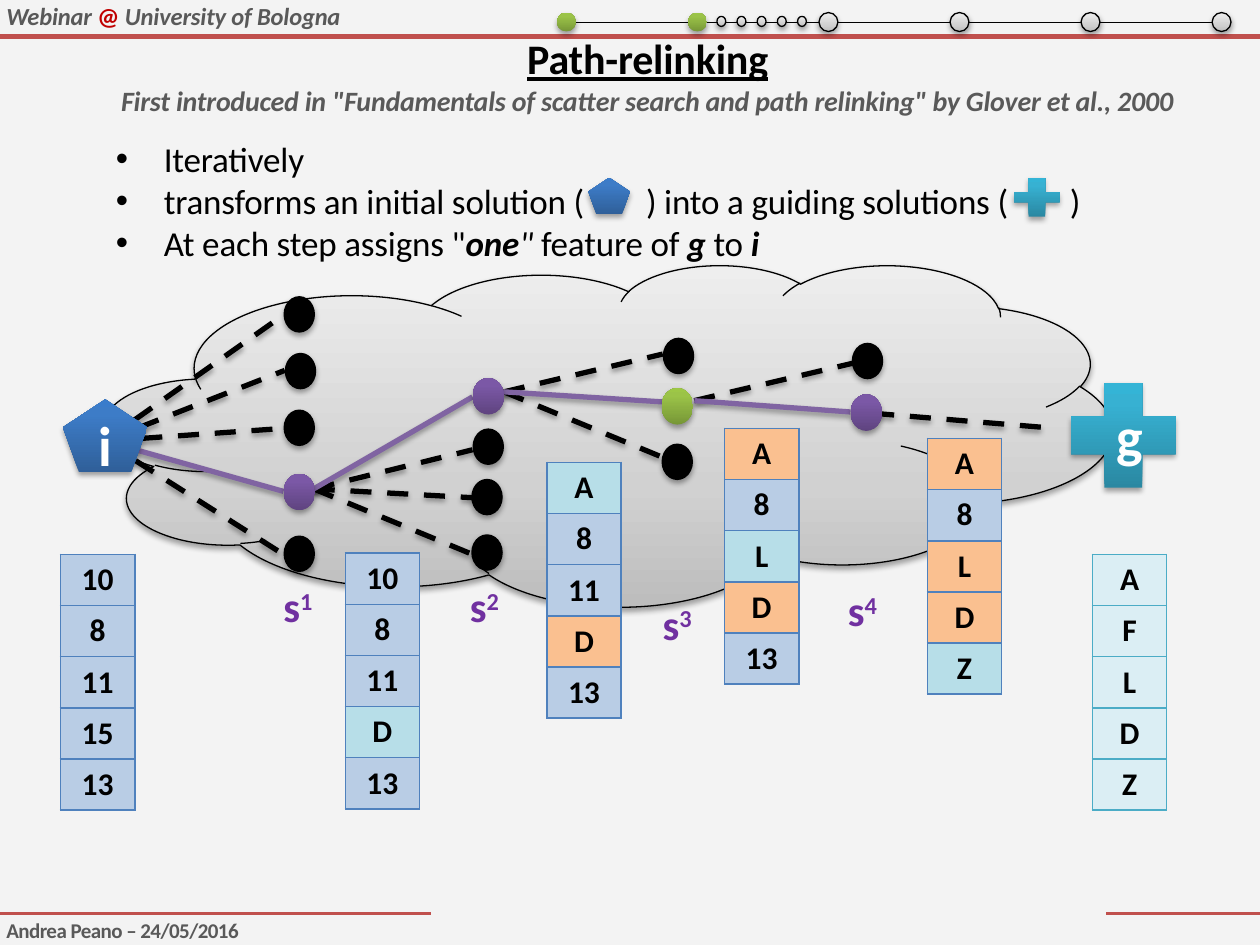
from dataclasses import dataclass
from lxml.etree import SubElement
from pptx import Presentation
from pptx.dml.color import RGBColor
from pptx.enum.dml import MSO_LINE
from pptx.enum.shapes import MSO_CONNECTOR, MSO_SHAPE
from pptx.enum.text import MSO_ANCHOR, PP_ALIGN
from pptx.oxml.ns import qn
from pptx.util import Inches, Pt


@dataclass(frozen=True)
class Theme:
    font: str = "Calibri"
    back: str = "F3F3F3"
    black: str = "000000"
    white: str = "FFFFFF"
    text: str = "595959"
    accent: str = "C00000"
    rule: str = "C0504D"
    step: str = "7030A0"
    route: str = "8064A2"
    edge: str = "4F81BD"
    goal: str = "4BACC6"
    gray: tuple = ((0, "BDBDBD"), (35, "D1D1D1"), (100, "EEEEEE"))
    blue: tuple = ((0, "2F5F99"), (80, "3D7CC7"), (100, "3A7CCB"))
    teal: tuple = ((0, "2A88A2"), (80, "37B1D2"), (100, "34B4D6"))
    violet: tuple = ((0, "5F4480"), (80, "7B58A6"), (100, "7C57A8"))
    green: tuple = ((0, "779737"), (80, "9BC348"), (100, "9DC746"))
    huge: int = 32
    large: int = 24
    body: int = 20
    cell: int = 18
    sub: int = 16
    head: int = 14
    foot: int = 12


theme = Theme()


def paint(shape, fill=None, line=None, width=0.75, dash=False, shadow=True):
    """Set fill, line and shadow of a shape or connector."""
    if isinstance(fill, str):
        shape.fill.solid()
        shape.fill.fore_color.rgb = RGBColor.from_string(fill)
    elif fill:
        shape.fill.gradient()
        shape.fill.gradient_angle = 90
        stops = shape._element.spPr.find(".//" + qn("a:gsLst"))
        stops.clear()
        for pos, color in fill:
            stop = SubElement(stops, qn("a:gs"), pos=str(pos * 1000))
            SubElement(stop, qn("a:srgbClr"), val=color)
    if line:
        shape.line.color.rgb = RGBColor.from_string(line)
        shape.line.width = Pt(width)
        if dash:
            shape.line.dash_style = MSO_LINE.DASH
    else:
        shape.line.fill.background()
    glow = SubElement(shape._element.spPr, qn("a:effectLst"))
    if shadow:
        cast = SubElement(glow, qn("a:outerShdw"), blurRad=str(Pt(3.1)),
                          dist=str(Pt(1.8)), dir="5400000", rotWithShape="0")
        tone = SubElement(cast, qn("a:srgbClr"), val=theme.black)
        SubElement(tone, qn("a:alpha"), val="35000")


def write(par, text, size, color, bold=False, italic=False, line=False, **extra):
    """Add one formatted run to a paragraph."""
    run = par.add_run()
    run.text = text
    font = run.font
    font.name, font.size = theme.font, Pt(size)
    font.bold, font.italic, font.underline = bold, italic, line
    font.color.rgb = RGBColor.from_string(color)
    for key, val in extra.items():
        run._r.get_or_add_rPr().set(key, str(val))


deck = Presentation()
deck.slide_width, deck.slide_height = Inches(10), Inches(7.5)
slide = deck.slides.add_slide(deck.slide_layouts[5])
slide.background.fill.solid()
slide.background.fill.fore_color.rgb = RGBColor.from_string(theme.back)
shapes = slide.shapes

# Header and footer rules, then the dashed and chosen search steps
rules = [(0, 7.25, 3.42, 7.25, 2.25), (8.78, 7.25, 10, 7.25, 2.25), (0, 0.29, 10, 0.29, 3)]
lines = [(*ends, theme.rule, width, False, False) for *ends, width in rules]
first, gap = 4.42, 1.04
for n in range(5):
    left = first + gap * n
    lines.append((left + 0.15, 0.18, left + gap, 0.18, theme.black, 0.75, False, False))

moves = [
    ((0.83, 3.5), [(2.25, 4.4), (2.25, 3.4), (2.26, 2.94), (2.25, 2.5)], (2.25, 3.9)),
    ((2.49, 3.88), [(3.75, 4.4), (3.75, 3.95), (3.75, 3.57)], (3.75, 3.15)),
    ((4, 3.11), [(5.26, 3.63), (5.26, 2.81)], (5.26, 3.19)),
    ((5.51, 3.18), [(6.78, 2.88)], (6.75, 3.27)),
    ((6.93, 3.28), [(8.38, 3.4)], None),
]
for start, others, best in moves:
    for end in others:
        lines.append((*start, *end, theme.black, 3, True, True))
    if best:
        lines.append((*start, *best, theme.route, 3, False, True))

cloud = shapes.add_shape(MSO_SHAPE.CLOUD, Inches(0.83), Inches(2.1), Inches(8), Inches(2.71))
paint(cloud, theme.gray, theme.black)
for x1, y1, x2, y2, color, width, dash, shadow in lines:
    link = shapes.add_connector(MSO_CONNECTOR.STRAIGHT, Inches(x1), Inches(y1), Inches(x2), Inches(y2))
    paint(link, None, color, width, dash, shadow)

# Dots of the search and of the progress bar
dots = [(x, y, 0.25, 0.29, theme.black, None) for x, y in [
    (2.26, 2.8), (2.25, 3.25), (2.25, 4.25), (2.25, 2.35), (3.74, 4.24), (3.74, 3.8),
    (3.75, 3.4), (5.25, 3.52), (5.26, 2.68), (6.76, 2.72)]]
dots += [(x, y, 0.25, 0.29, theme.violet, None) for x, y in [(2.25, 3.76), (3.75, 3), (6.75, 3.13)]]
dots.append((5.25, 3.08, 0.25, 0.29, theme.green, None))
for n in range(6):
    done = n < 2
    dots.append((first + gap * n, 0.1, 0.15, 0.15, theme.green if done else theme.gray,
                 None if done else theme.black))
dots += [(5.69 + 0.16 * n, 0.13, 0.07, 0.08, theme.gray, theme.black) for n in range(5)]
for x, y, w, h, fill, line in dots:
    dot = shapes.add_shape(MSO_SHAPE.OVAL, Inches(x), Inches(y), Inches(w), Inches(h))
    paint(dot, fill, line)

# Initial and guiding solutions, large and as icons in the text
for kind, x, y, w, h, fill, adj, label in [
    (MSO_SHAPE.REGULAR_PENTAGON, 0.5, 3.17, 0.67, 0.58, theme.blue, None, "i"),
    (MSO_SHAPE.CROSS, 8.5, 3.04, 0.83, 0.83, theme.teal, 0.32, "g"),
    (MSO_SHAPE.REGULAR_PENTAGON, 4.67, 1.41, 0.33, 0.29, theme.blue, None, ""),
    (MSO_SHAPE.CROSS, 8.05, 1.41, 0.36, 0.31, theme.teal, 0.37, ""),
]:
    mark = shapes.add_shape(kind, Inches(x), Inches(y), Inches(w), Inches(h))
    paint(mark, fill)
    if adj:
        mark.adjustments[0] = adj
    if label:
        mark.text_frame.vertical_anchor = MSO_ANCHOR.MIDDLE
        par = mark.text_frame.paragraphs[0]
        par.alignment = PP_ALIGN.CENTER
        write(par, label, theme.huge, theme.white, True)

# Solution vectors: n = kept, c = changed now, d = changed before, g = guide
fills = {"n": "B9CDE5", "c": "B7DEE8", "d": "FAC090", "g": "DBEEF4"}
for x, y, values, kinds in [
    (0.48, 4.4, "10 8 11 15 13", "nnnnn"),
    (8.67, 4.4, "A F L D Z", "ggggg"),
    (2.74, 4.39, "10 8 11 D 13", "nnncn"),
    (4.34, 3.67, "A 8 11 D 13", "cnndn"),
    (5.75, 3.4, "A 8 L D 13", "dncdn"),
    (7.36, 3.48, "A 8 L D Z", "dnddc"),
]:
    grid = shapes.add_table(5, 1, Inches(x), Inches(y), Inches(0.59), Inches(2.03)).table
    grid.first_row = grid.horz_banding = False
    for row, (value, kind) in enumerate(zip(values.split(), kinds)):
        cell = grid.cell(row, 0)
        par = cell.text_frame.paragraphs[0]
        par.alignment = PP_ALIGN.CENTER
        write(par, value, theme.cell, theme.black, True)
        props = cell._tc.get_or_add_tcPr()
        for side in ("a:lnL", "a:lnR", "a:lnT", "a:lnB"):
            rim = SubElement(SubElement(props, qn(side), w=str(Pt(1))), qn("a:solidFill"))
            SubElement(rim, qn("a:srgbClr"), val=theme.goal if kind == "g" else theme.edge)
        cell.fill.solid()
        cell.fill.fore_color.rgb = RGBColor.from_string(fills[kind])

# Text: each box holds paragraphs, each paragraph holds runs
bold, slant, both = {"bold": True}, {"italic": True}, {"bold": True, "italic": True}
wide = {"spc": 3090}
boxes = [
    ((0.05, 0.01, 4.42, 0.24), theme.head, theme.text, -10, [
        [("Webinar ", both), ("@ ", {"bold": True, "color": theme.accent}),
         ("University of Bologna", both)]]),
    ((0.05, 7.28, 1.87, 0.2), theme.foot, theme.text, -30, [[("Andrea Peano – 24/05/2016", bold)]]),
    ((0.91, 1.09, 8.64, 1.01), theme.body, theme.black, -10, [
        [("Iteratively", {})],
        [("transforms an initial solution (", {}), (" ", wide),
         (") into a guiding solutions (", {}), (" ", wide), (")", {})],
        [('At each step assigns "', {}), ("one", both), ('" ', slant), ("feature of ", {}),
         ("g", both), (" to ", {}), ("i", both)]]),
    ((0.92, 0.26, 8.44, 0.67), theme.large, theme.black, -10, [
        [("Path-relinking", {"bold": True, "line": True})],
        [('First introduced in "Fundamentals of scatter search and path relinking" '
          "by Glover et al., 2000", {**both, "size": theme.sub, "color": theme.text})]]),
]
for n, (x, y) in enumerate([(2.25, 4.61), (3.73, 4.61), (5.26, 4.75), (6.73, 4.64)], 1):
    boxes.append(((x, y, 0.26, 0.4), theme.large, theme.step, -10,
                  [[("s", bold), (str(n), {"bold": True, "baseline": 30000})]]))

for place, size, color, spc, pars in boxes:
    title = size == theme.large and len(pars) == 2
    box = shapes.title if title else shapes.add_textbox(0, 0, 0, 0)
    box.left, box.top, box.width, box.height = map(Inches, place)
    frame = box.text_frame
    frame.margin_left = frame.margin_right = frame.margin_top = frame.margin_bottom = 0
    frame.vertical_anchor = MSO_ANCHOR.TOP
    frame.word_wrap = size in (theme.head, theme.body)
    for n, runs in enumerate(pars):
        par = frame.add_paragraph() if n else frame.paragraphs[0]
        par.alignment = PP_ALIGN.CENTER if title else PP_ALIGN.LEFT
        if size == theme.body:
            props = par._p.get_or_add_pPr()
            props.set("marL", str(Inches(0.39)))
            props.set("indent", str(Inches(-0.38)))
            SubElement(props, qn("a:buFont"), typeface="Arial")
            SubElement(props, qn("a:buChar"), char="•")
        for text, style in runs:
            write(par, text, **{"size": size, "color": color, "spc": spc, **style})

deck.save("out.pptx")
